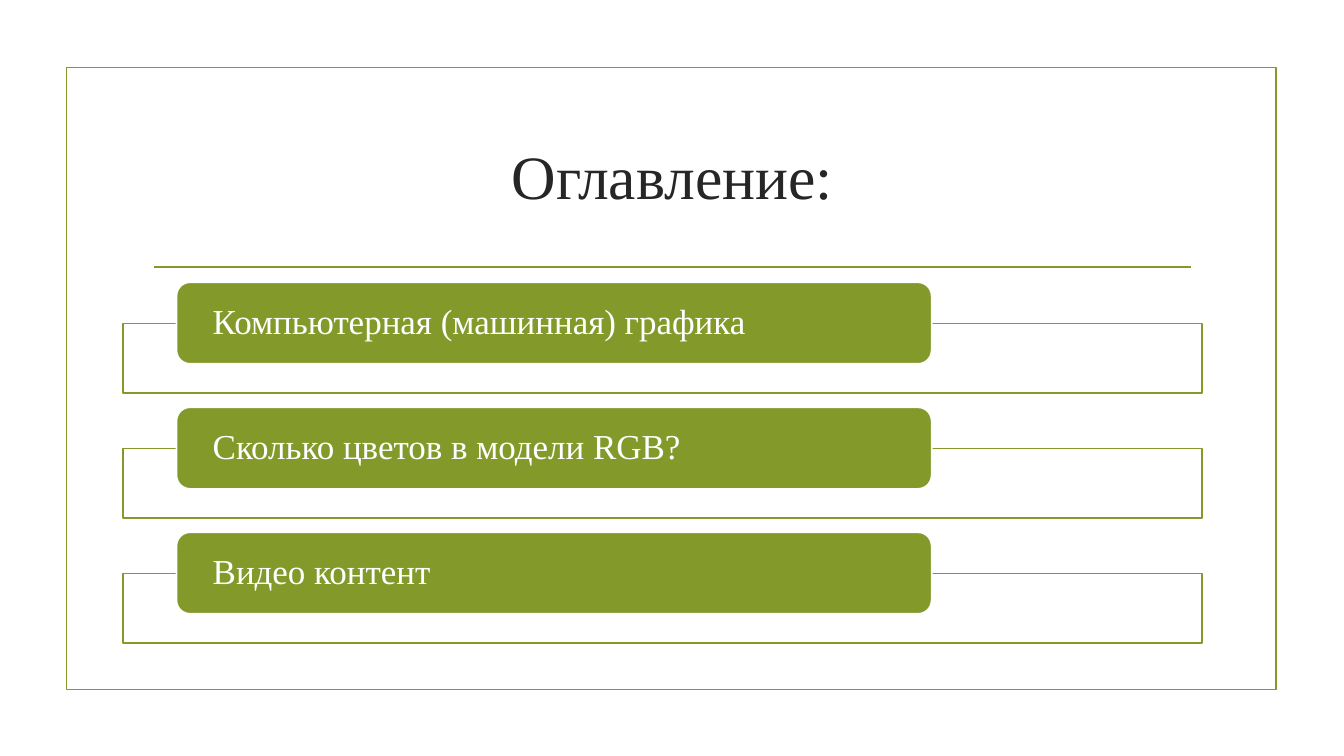
"""Build the table of contents slide."""
from typing import NamedTuple

from pptx import Presentation
from pptx.dml.color import RGBColor
from pptx.enum.shapes import MSO_CONNECTOR, MSO_SHAPE
from pptx.enum.text import MSO_ANCHOR, MSO_AUTO_SIZE, PP_ALIGN
from pptx.oxml.ns import qn
from pptx.shapes.autoshape import Shape
from pptx.slide import Slide
from pptx.util import Pt

RECT, ROUND = MSO_SHAPE.RECTANGLE, MSO_SHAPE.ROUNDED_RECTANGLE
STRAIGHT = MSO_CONNECTOR.STRAIGHT
MIDDLE = MSO_ANCHOR.MIDDLE
LEFT, CENTER = PP_ALIGN.LEFT, PP_ALIGN.CENTER
NO_FIT = MSO_AUTO_SIZE.NONE

PX = 9144
FONT = "Times New Roman"
GREEN, WHITE, DARK = "83992A", "FFFFFF", "262626"
LINE_WIDTH = Pt(1.25)
TITLE = "Оглавление:"
TOPICS = (
    "Компьютерная (машинная) графика",
    "Сколько цветов в модели RGB?",
    "Видео контент",
)
TOPIC_STEP = 124


class Box(NamedTuple):
    """A rectangle in px."""

    left: int
    top: int
    width: int
    height: int

    def emu(self) -> tuple[int, ...]:
        """Return the four lengths in EMU."""
        return tuple(v * PX for v in self)

    def down(self, distance: int) -> "Box":
        """Return the box moved down."""
        return self._replace(top=self.top + distance)


FRAME = Box(66, 67, 1200, 617)
TITLE_BOX = Box(142, 107, 1050, 143)
TOPIC_FRAME = Box(122, 321, 1070, 69)
TOPIC_LABEL = Box(175, 280, 749, 81)


def rgb(color: str) -> RGBColor:
    """Turn a hex string into a colour."""
    return RGBColor.from_string(color)


def add_box(s: Slide, kind: MSO_SHAPE, box: Box, fill: str, line: str) -> Shape:
    """Draw a filled and outlined shape."""
    sp = s.shapes.add_shape(kind, *box.emu())
    sp.shadow.inherit = False
    sp.fill.solid()
    sp.fill.fore_color.rgb = rgb(fill)
    sp.line.color.rgb = rgb(line)
    sp.line.width = LINE_WIDTH
    return sp


def add_rule(s: Slide, left: int, right: int, y: int) -> None:
    """Draw the horizontal rule below the title."""
    cx = s.shapes.add_connector(STRAIGHT, left * PX, y * PX, right * PX, y * PX)
    cx.line.color.rgb = rgb(GREEN)
    cx.line.width = LINE_WIDTH
    sp_pr = cx._element.spPr
    sp_pr.append(sp_pr.makeelement(qn("a:effectLst"), {}))


def write(sp: Shape, text: str, size: int, color: str, align: PP_ALIGN) -> None:
    """Write one vertically centred paragraph into a shape."""
    tf = sp.text_frame
    tf.word_wrap = True
    tf.auto_size = NO_FIT
    tf.vertical_anchor = MIDDLE
    p = tf.paragraphs[0]
    p.alignment = align
    p.line_spacing = 0.9
    r = p.add_run()
    r.text = text
    r.font.name = FONT
    r.font.size = Pt(size)
    r.font.color.rgb = rgb(color)


def add_title(s: Slide) -> None:
    """Place and fill the title placeholder."""
    sp = s.shapes.title
    sp.left, sp.top, sp.width, sp.height = TITLE_BOX.emu()
    write(sp, TITLE, 44, DARK, CENTER)


def add_topic(s: Slide, text: str, offset: int) -> None:
    """Draw one topic: an empty frame with a label over its top edge."""
    add_box(s, RECT, TOPIC_FRAME.down(offset), WHITE, GREEN)
    sp = add_box(s, ROUND, TOPIC_LABEL.down(offset), GREEN, WHITE)
    tf = sp.text_frame
    tf.margin_left = tf.margin_right = 32 * PX
    tf.margin_top = tf.margin_bottom = 4 * PX
    write(sp, text, 25, WHITE, LEFT)


def main() -> None:
    """Build and save the presentation."""
    prs = Presentation()
    prs.slide_width, prs.slide_height = 1333 * PX, 750 * PX
    s = prs.slides.add_slide(prs.slide_layouts[5])
    add_box(s, RECT, FRAME, WHITE, GREEN).fill.background()
    add_rule(s, 153, 1181, 265)
    add_title(s)
    for i, topic in enumerate(TOPICS):
        add_topic(s, topic, i * TOPIC_STEP)
    prs.save("out.pptx")


if __name__ == "__main__":
    main()
